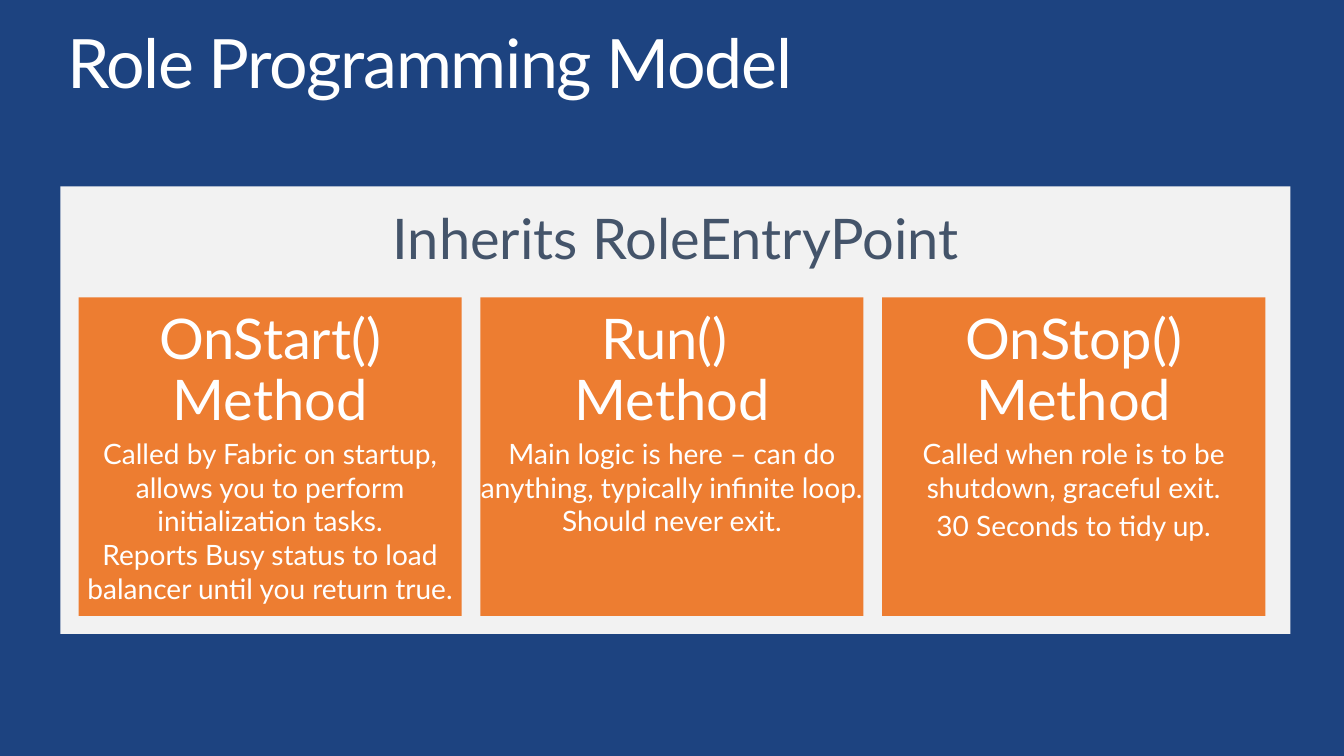
from pptx import Presentation
from pptx.dml.color import RGBColor
from pptx.enum.shapes import MSO_SHAPE
from pptx.enum.text import PP_ALIGN
from pptx.util import Inches, Pt

RECTANGLE = MSO_SHAPE.RECTANGLE
LEFT, CENTER = PP_ALIGN.LEFT, PP_ALIGN.CENTER

FONT = "Lato"
COLORS = {
    "background": "1D4380",
    "panel": "F2F2F2",
    "card": "ED7D31",
    "heading": "44546A",
    "white": "FFFFFF",
}

# Each method: heading, then its descriptions
METHODS = [
    ("OnStart() Method", [
        "Called by Fabric on startup, allows you to perform initialization tasks.\v"
        "Reports Busy status to load balancer until you return true.",
    ]),
    ("Run() \vMethod", [
        "Main logic is here – can do anything, typically infinite loop. "
        "Should never exit.",
    ]),
    ("OnStop() Method", [
        "Called when role is to be shutdown, graceful exit.",
        "30 Seconds to tidy up.",
    ]),
]
PANEL_LEFT, PANEL_WIDTH = 0.6, 12.2
FIRST_CARD, LAST_CARD = 0.78, 8.75
CARD_WIDTH = 3.8
CARD_STEP = (LAST_CARD - FIRST_CARD) / (len(METHODS) - 1)


def color(name):
    return RGBColor.from_string(COLORS[name])


def add_block(slide, left, top, width, height, fill):
    block = slide.shapes.add_shape(
        RECTANGLE, Inches(left), Inches(top), Inches(width), Inches(height))
    block.shadow.inherit = False
    block.fill.solid()
    block.fill.fore_color.rgb = color(fill)
    block.line.fill.background()


def add_frame(slide, left, top, width, height, inset_x=0, inset_y=0):
    frame = slide.shapes.add_textbox(
        Inches(left), Inches(top), Inches(width), Inches(height)).text_frame
    frame.word_wrap = True
    frame.margin_left = frame.margin_right = Inches(inset_x)
    frame.margin_top = frame.margin_bottom = Inches(inset_y)
    return frame


def write(paragraph, text, size, fill="white", align=CENTER,
          line_spacing=1.0, before=0, tracking=0):
    paragraph.text = text
    paragraph.alignment = align
    paragraph.line_spacing = line_spacing
    paragraph.space_before = Pt(before)
    for run in paragraph.runs:
        run.font.name = FONT
        run.font.size = Pt(size)
        run.font.color.rgb = color(fill)
        if tracking:
            run.font._element.set("spc", str(tracking * 100))


def add_method(slide, left, heading, descriptions):
    frame = add_frame(slide, left, 3.09, CARD_WIDTH, 2.98)
    write(frame.paragraphs[0], heading, 40, line_spacing=0.9)
    for description in descriptions:
        write(frame.add_paragraph(), description, 20, before=3)


def main():
    prs = Presentation()
    prs.slide_width, prs.slide_height = Inches(13.33), Inches(7.5)
    slide = prs.slides.add_slide(prs.slide_layouts[6])
    slide.background.fill.solid()
    slide.background.fill.fore_color.rgb = color("background")

    # Title
    title = add_frame(slide, 0.57, 0.25, PANEL_WIDTH, 0.82, 0.1, 0.05)
    write(title.paragraphs[0], "Role Programming Model", 48.6,
          align=LEFT, line_spacing=0.9, tracking=-1)

    # Base class panel
    add_block(slide, PANEL_LEFT, 1.85, PANEL_WIDTH, 4.44, "panel")
    base_class = add_frame(slide, PANEL_LEFT, 2.02, PANEL_WIDTH, 0.67)
    write(base_class.paragraphs[0], "Inherits RoleEntryPoint", 40, fill="heading")

    # Method cards
    for index, (heading, descriptions) in enumerate(METHODS):
        left = FIRST_CARD + index * CARD_STEP
        add_block(slide, left, 2.95, CARD_WIDTH, 3.16, "card")
        add_method(slide, left, heading, descriptions)

    prs.save("out.pptx")


main()
